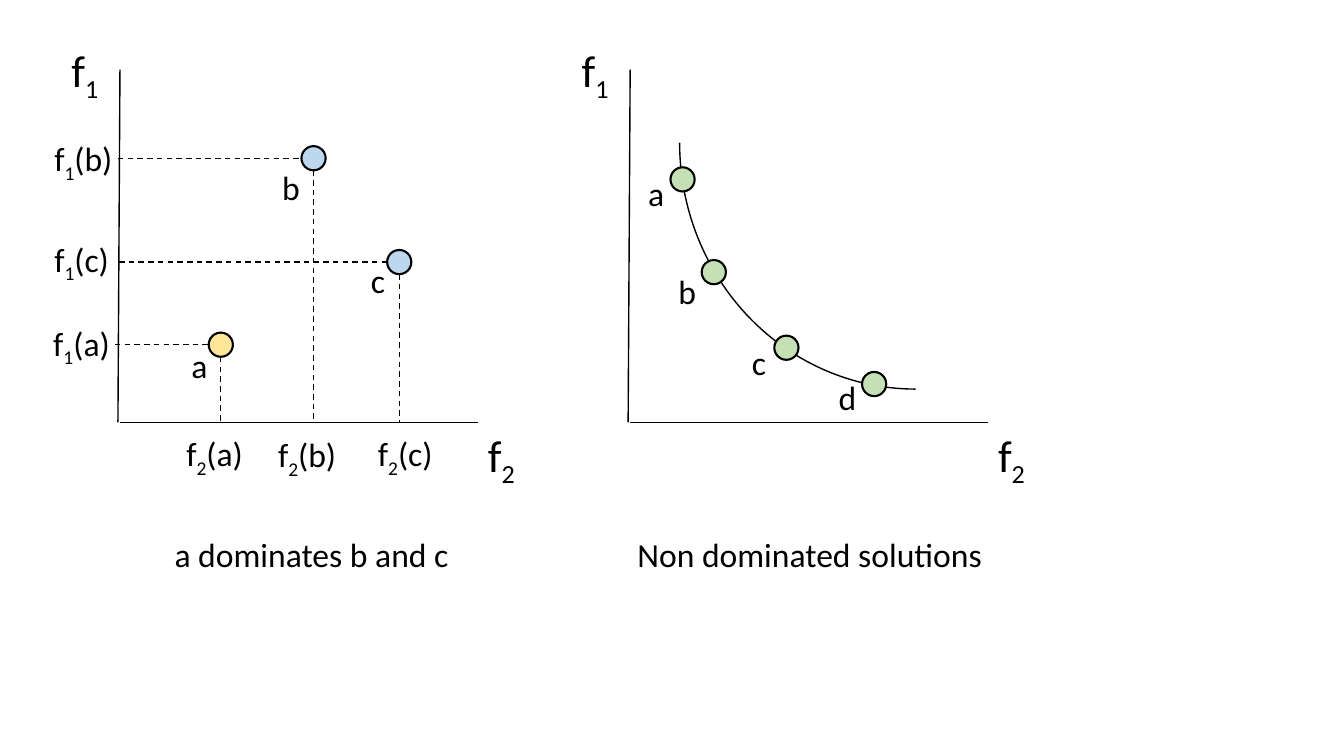
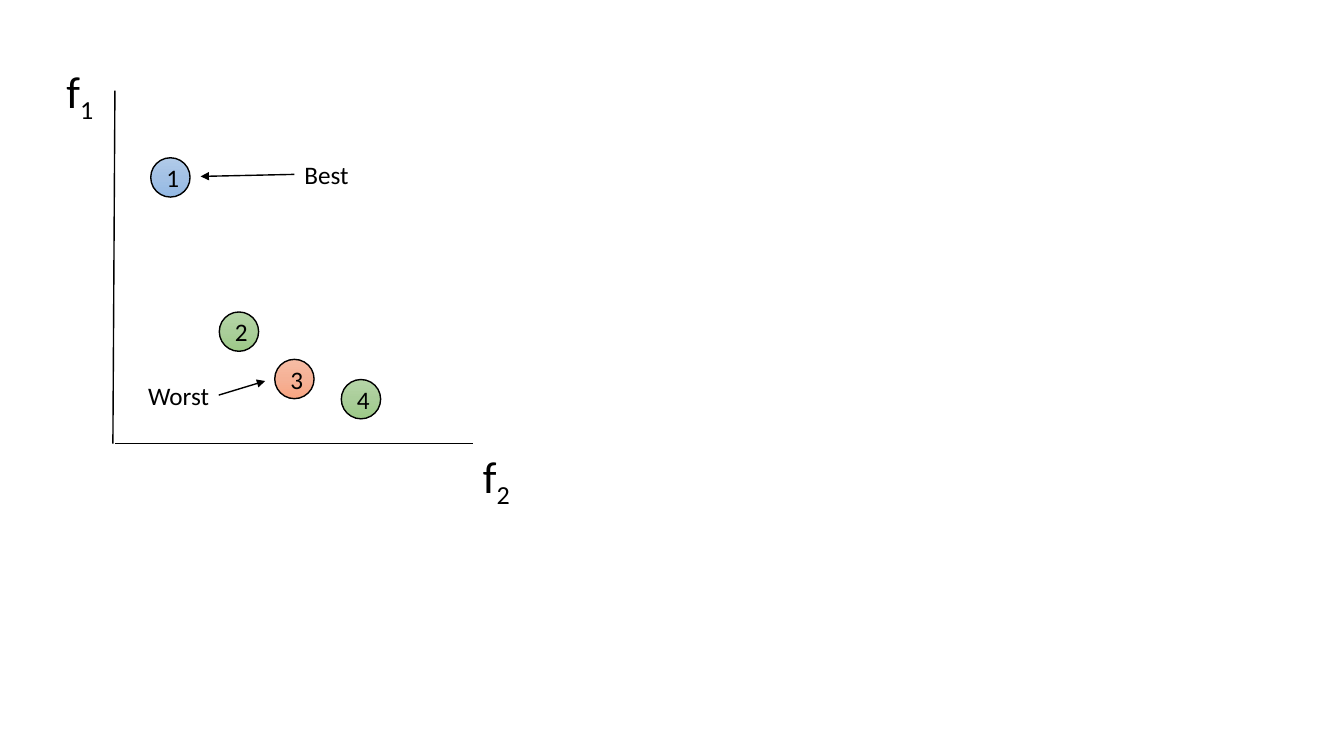
from copy import deepcopy

from lxml.etree import SubElement
from pptx import Presentation
from pptx.dml.color import RGBColor
from pptx.enum.dml import MSO_LINE
from pptx.enum.shapes import MSO_CONNECTOR, MSO_SHAPE
from pptx.enum.text import MSO_ANCHOR, MSO_AUTO_SIZE, PP_ALIGN
from pptx.oxml.ns import qn
from pptx.util import Inches, Pt

# Content: every place is (right of, above) the origin of its plot, in inches
COLORS = {"ink": "000000", "yellow": "FFE699", "blue": "BDD7EE", "green": "C5E0B4"}
GRADIENTS = {
    "best": ("B1CBE9", "A3C1E5", "93B9E4"),
    "middle": ("B5D5A7", "AACE9A", "9CC987"),
    "worst": ("F7BDA5", "F5B196", "F8A582"),
}
FONT = "Calibri"
AXIS_W, AXIS_H = 3.55, 3.5
DOT, BALL = 0.24, 0.39

DOMINANCE = {"origin": (1.19, 4.19), "caption": ("a dominates b and c", -0.62)}
FRONT = {"origin": (6.25, 4.19), "caption": ("Non dominated solutions", -0.74)}
RANKING = {"origin": (1.14, 4.4)}

# name, place, colour, label shift from the dot's centre
DOMINANCE_DOTS = [
    ("a", (1.0, 0.77), "yellow", (-0.39, 0.05)),
    ("b", (1.92, 2.62), "blue", (-0.41, -0.04)),
    ("c", (2.77, 1.59), "blue", (-0.38, 0.07)),
]
# guide start, f1 label left and rise, f2 label shift and drop
GUIDES = {
    "a": (-0.05, -0.76, 0.27, -0.44, 0.06),
    "b": (-0.02, -0.75, 0.25, -0.45, 0.07),
    "c": (-0.01, -0.75, 0.28, -0.31, 0.06),
}
FRONT_DOTS = [
    ("a", (0.52, 2.41), "green", (-0.44, 0.11)),
    ("b", (0.83, 1.49), "green", (-0.45, 0.06)),
    ("c", (1.55, 0.74), "green", (-0.44, 0.11)),
    ("d", (2.42, 0.38), "green", (-0.45, 0.12)),
]
FRONT_ARC = (0.49, 5.22, 4.68, 4.89)
BALLS = [
    ("1", (0.55, 2.64), "best"),
    ("2", (1.23, 1.11), "middle"),
    ("3", (1.78, 0.64), "worst"),
    ("4", (2.44, 0.44), "middle"),
]
# text, its top left corner, arrow start, arrow end
NOTES = [
    ("Best", (1.78, 2.87), (1.78, 2.67), (0.85, 2.65)),
    ("Worst", (0.23, 0.68), (1.03, 0.48), (1.49, 0.62)),
]


# Shared parts
def rgb(name):
    return RGBColor.from_string(COLORS.get(name, name))


def place(plot, x, y):
    left, base = plot["origin"]
    return Inches(left + x), Inches(base - y)


def style_runs(p, size):
    for r in p.runs:
        r.font.size, r.font.name = Pt(size), FONT
        r.font.color.rgb = rgb("ink")


def add_text(s, plot, text, x, y, w, h, size, align=PP_ALIGN.LEFT):
    """Write text; the character after an underscore is a subscript."""
    tf = s.shapes.add_textbox(*place(plot, x, y), Inches(w), Inches(h)).text_frame
    tf.word_wrap = True
    tf.auto_size = MSO_AUTO_SIZE.SHAPE_TO_FIT_TEXT
    p = tf.paragraphs[0]
    p.alignment = align
    base, _, rest = text.partition("_")
    for piece, low in ((base, False), (rest[:1], True), (rest[1:], False)):
        if piece:
            r = p.add_run()
            r.text = piece
            if low:
                r.font._element.set("baseline", "-25000")
    style_runs(p, size)


def add_line(s, plot, start, end, dashed=False, arrow=False):
    line = s.shapes.add_connector(
        MSO_CONNECTOR.STRAIGHT, *place(plot, *start), *place(plot, *end))
    line.line.color.rgb = rgb("ink")
    line.line.width = Pt(1)
    if dashed:
        line.line.dash_style = MSO_LINE.DASH
    spPr = line._element.spPr
    if arrow:
        SubElement(spPr.find(qn("a:ln")), qn("a:tailEnd"), type="triangle")
    SubElement(spPr, qn("a:effectLst"))


def add_outlined(s, plot, kind, x, y, w, h, weight):
    sp = s.shapes.add_shape(kind, *place(plot, x, y), Inches(w), Inches(h))
    sp.shadow.inherit = False
    sp.line.color.rgb = rgb("ink")
    sp.line.width = Pt(weight)
    return sp


def add_circle(s, plot, center, size, weight):
    x, y = center
    return add_outlined(s, plot, MSO_SHAPE.OVAL, x - size / 2, y + size / 2,
                        size, size, weight)


def fill_gradient(sp, colors):
    sp.fill.gradient()
    sp.fill.gradient_angle = 270
    stops = sp._element.spPr.find(qn("a:gradFill")).find(qn("a:gsLst"))
    stops.insert(1, deepcopy(stops[0]))
    for i, (stop, color) in enumerate(zip(sp.fill.gradient_stops, colors)):
        stop.color.rgb = rgb(color)
        stop.position = i / 2


def add_axes(s, plot):
    add_line(s, plot, (0, AXIS_H), (-0.02, 0))
    add_line(s, plot, (AXIS_W, 0), (0, 0))
    add_text(s, plot, "f_1", -0.58, AXIS_H + 0.32, 0.81, 0.64, 32)
    add_text(s, plot, "f_2", AXIS_W, 0, 0.81, 0.64, 32)
    if "caption" in plot:
        text, left = plot["caption"]
        add_text(s, plot, text, left, -1.06, 5.04, 0.5, 24, PP_ALIGN.CENTER)


def add_dots(s, plot, dots):
    for name, (x, y), color, (dx, dy) in dots:
        sp = add_circle(s, plot, (x, y), DOT, 1.5)
        sp.fill.solid()
        sp.fill.fore_color.rgb = rgb(color)
        add_text(s, plot, name, x + dx, y + dy, 0.66, 0.5, 24)


prs = Presentation()
prs.slide_width, prs.slide_height = Inches(13.33), Inches(7.5)
blank = prs.slide_layouts[6]

# Slide 1: dominance, and the front of non dominated solutions
s = prs.slides.add_slide(blank)
add_axes(s, DOMINANCE)
for name, (x, y), _, _ in DOMINANCE_DOTS:
    start, left, rise, shift, drop = GUIDES[name]
    add_line(s, DOMINANCE, (start, y), (x - DOT / 2, y), dashed=True)
    add_line(s, DOMINANCE, (x, y - DOT / 2), (x, 0), dashed=True)
    add_text(s, DOMINANCE, f"f_1({name})", left, y + rise, 0.86, 0.5, 24)
    add_text(s, DOMINANCE, f"f_2({name})", x + shift, -drop, 0.86, 0.5, 24)
add_dots(s, DOMINANCE, DOMINANCE_DOTS)

add_axes(s, FRONT)
arc = add_outlined(s, FRONT, MSO_SHAPE.ARC, *FRONT_ARC, 1)
arc.fill.background()
arc.rotation = 180
add_dots(s, FRONT, FRONT_DOTS)

# Slide 2: best and worst of four numbered solutions
s = prs.slides.add_slide(blank)
add_axes(s, RANKING)
for number, center, rank in BALLS:
    sp = add_circle(s, RANKING, center, BALL, 1)
    fill_gradient(sp, GRADIENTS[rank])
    tf = sp.text_frame
    tf.text = number
    tf.vertical_anchor = MSO_ANCHOR.MIDDLE
    tf.paragraphs[0].alignment = PP_ALIGN.CENTER
    style_runs(tf.paragraphs[0], 18)
for text, corner, start, end in NOTES:
    add_text(s, RANKING, text, *corner, 2.05, 0.4, 18)
    add_line(s, RANKING, start, end, arrow=True)

prs.save("out.pptx")
